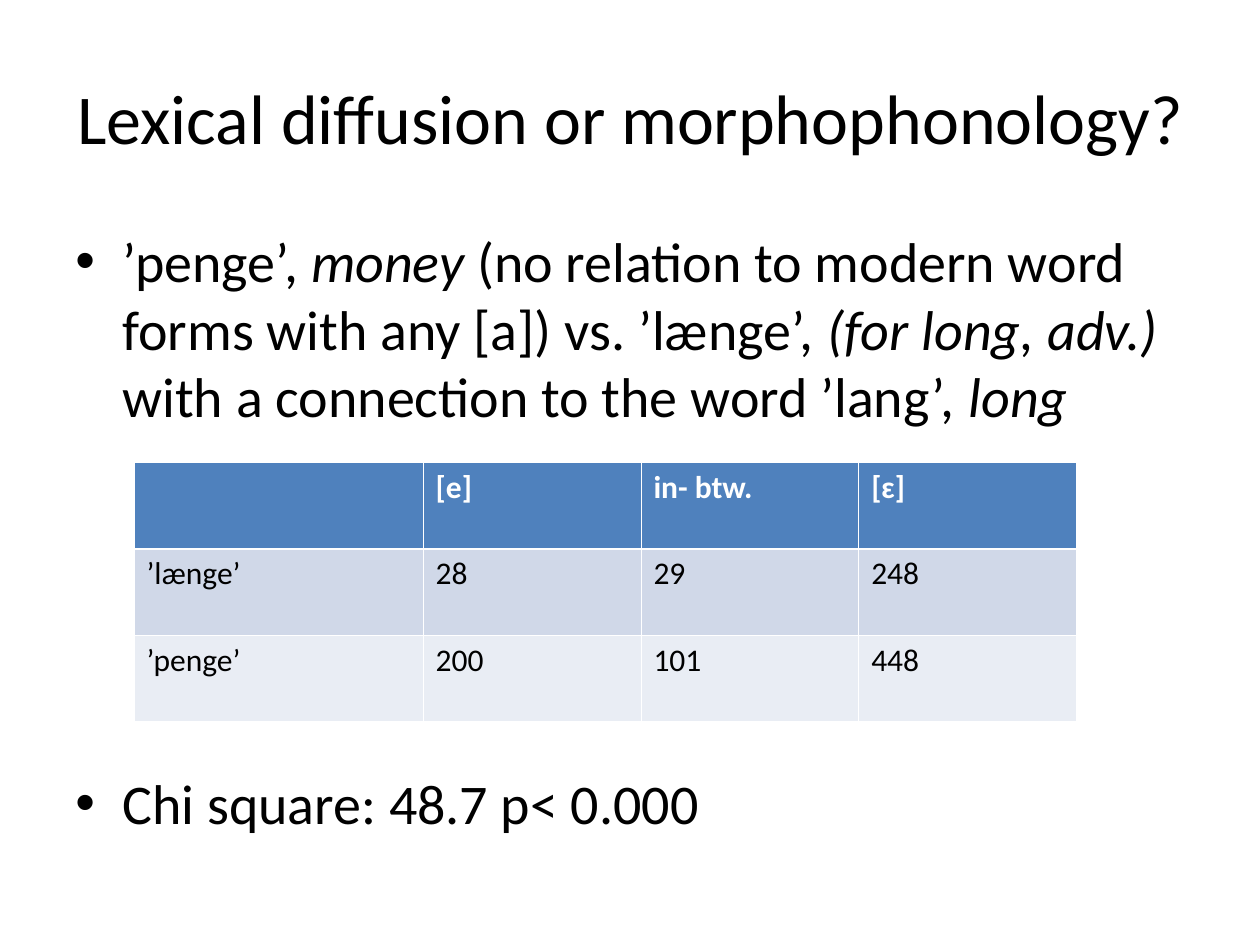
from typing import NamedTuple

from lxml.etree import SubElement
from pptx import Presentation
from pptx.dml.color import RGBColor
from pptx.enum.text import MSO_ANCHOR, PP_ALIGN
from pptx.oxml.ns import qn
from pptx.util import Cm, Pt

HUES = {"ink": "000000", "paper": "FFFFFF", "head": "4F81BD",
        "dark": "D0D8E8", "light": "E9EDF4"}
FACE = "Calibri"
THIN, THICK = 0.45, 1.47


class Box(NamedTuple):
    left: float
    top: float
    width: float
    height: float


class Run(NamedTuple):
    text: str
    slant: bool = False


class Point(NamedTuple):
    runs: list[Run]
    gap: float


class Row(NamedTuple):
    cells: list[str]
    fill: str
    ink: str
    bold: bool
    upper: float
    lower: float


POINTS = [
    Point([Run("’penge’, "), Run("money", True),
           Run(" (no relation to modern word forms with any [a]) vs. ’længe’, "),
           Run("(for long, adv.)", True),
           Run(" with a connection to the word ’lang’, "), Run("long", True)], 8),
    Point([Run("Chi square: 48.7 p< 0.000")], 194),
]
ROWS = [
    Row(["", "[e]", "in- btw.", "[ɛ]"], "head", "paper", True, THIN, THICK),
    Row(["’længe’", "28", "29", "248"], "dark", "ink", False, THICK, THIN),
    Row(["’penge’", "200", "101", "448"], "light", "ink", False, THIN, THIN),
]
WIDTHS = [5.83, 4.39, 4.39, 4.39]
HEIGHT = 1.74


def style(font, size: float, hue: str, bold: bool = False) -> None:
    """Set face, size, weight and colour of a font."""
    font.name, font.size, font.bold = FACE, Pt(size), bold
    font.color.rgb = RGBColor.from_string(HUES[hue])


def add_text(slide, box: Box):
    """Add a wrapping text box and return its frame."""
    frame = slide.shapes.add_textbox(*map(Cm, box)).text_frame
    frame.word_wrap = True
    return frame


def add_title(slide, box: Box, text: str) -> None:
    """Draw the centred title."""
    frame = add_text(slide, box)
    frame.vertical_anchor = MSO_ANCHOR.MIDDLE
    para = frame.paragraphs[0]
    para.text, para.alignment = text, PP_ALIGN.CENTER
    style(para.font, 40, "ink")


def add_points(slide, box: Box, points: list[Point]) -> None:
    """Draw the bullet points."""
    frame = add_text(slide, box)
    for index, point in enumerate(points):
        para = frame.add_paragraph() if index else frame.paragraphs[0]
        para.space_before = Pt(point.gap)
        style(para.font, 32, "ink")
        for part in point.runs:
            run = para.add_run()
            run.text = part.text
            if part.slant:
                run.font.italic = True
        props = para._p.get_or_add_pPr()
        props.set("marL", str(Cm(0.95)))
        props.set("indent", str(Cm(-0.95)))
        face = props.makeelement(qn("a:buFont"), {"typeface": "Arial"})
        mark = props.makeelement(qn("a:buChar"), {"char": "•"})
        spot = props.index(props.find(qn("a:defRPr")))
        props[spot:spot] = [face, mark]


def add_edge(cell, side: str, width: float) -> None:
    """Add one white border to a cell."""
    line = SubElement(cell._tc.get_or_add_tcPr(), qn(f"a:ln{side}"),
                      w=str(Pt(width)))
    fill = SubElement(line, qn("a:solidFill"))
    SubElement(fill, qn("a:srgbClr"), val=HUES["paper"])


def fill_cell(cell, text: str, row: Row) -> None:
    """Write and paint one table cell."""
    para = cell.text_frame.paragraphs[0]
    para.text = text
    style(para.font, 18, row.ink, row.bold)
    edges = {"L": THIN, "R": THIN, "T": row.upper, "B": row.lower}
    for side, width in edges.items():
        add_edge(cell, side, width)
    cell.fill.solid()
    cell.fill.fore_color.rgb = RGBColor.from_string(HUES[row.fill])


def add_counts(slide, left: float, top: float, rows: list[Row]) -> None:
    """Draw the table of counts."""
    box = Box(left, top, sum(WIDTHS), HEIGHT * len(rows))
    table = slide.shapes.add_table(len(rows), len(WIDTHS), *map(Cm, box)).table
    table.horz_banding = False
    for column, width in zip(table.columns, WIDTHS):
        column.width = Cm(width)
    for line, row in zip(table.rows, rows):
        line.height = Cm(HEIGHT)
        for cell, text in zip(line.cells, row.cells):
            fill_cell(cell, text, row)


def main() -> None:
    """Build and save the slide."""
    deck = Presentation()
    deck.slide_width, deck.slide_height = Cm(25.4), Cm(19.05)
    slide = deck.slides.add_slide(deck.slide_layouts[6])
    add_title(slide, Box(1.27, 0.76, 22.86, 3.18),
              "Lexical diffusion or morphophonology?")
    add_points(slide, Box(1.27, 4.45, 22.86, 12.57), POINTS)
    add_counts(slide, 2.7, 9.32, ROWS)
    deck.save("out.pptx")


if __name__ == "__main__":
    main()
